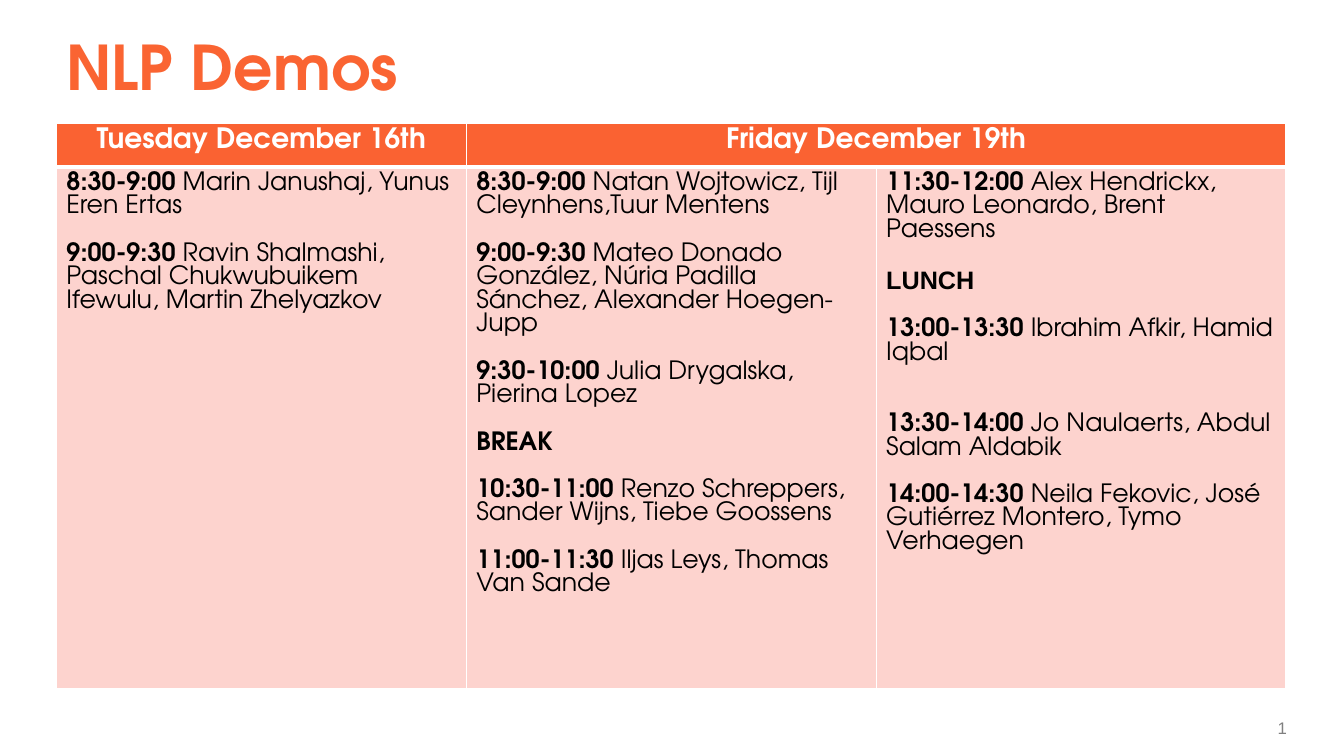
from lxml import etree
from pptx import Presentation
from pptx.dml.color import RGBColor
from pptx.enum.text import MSO_ANCHOR as Anchor, PP_ALIGN as Align
from pptx.oxml import parse_xml
from pptx.oxml.ns import nsdecls, qn
from pptx.util import Cm, Pt

DISPLAY_FONT = "TeX Gyre Adventor"
LINE_GAP = 17
HEADINGS = ["Tuesday December 16th", "Friday December 19th"]
SCHEDULE = [
    [
        ("8:30-9:00", " Marin Janushaj, Yunus Eren Ertas"),
        ("9:00-9:30", " Ravin Shalmashi, Paschal Chukwubuikem Ifewulu, Martin Zhelyazkov"),
    ],
    [
        ("8:30-9:00", " Natan Wojtowicz, Tijl Cleynhens,Tuur Mentens"),
        ("9:00-9:30", " Mateo Donado González, Núria Padilla Sánchez, Alexander Hoegen-Jupp"),
        ("9:30-10:00", " Julia Drygalska, Pierina Lopez"),
        ("BREAK", ""),
        ("10:30-11:00", " Renzo Schreppers, Sander Wijns, Tiebe Goossens"),
        ("11:00-11:30", " Iljas Leys, Thomas Van Sande"),
    ],
    [
        ("11:30-12:00", " Alex Hendrickx, Mauro Leonardo, Brent Paessens"),
        ("LUNCH", ""),
        ("13:00-13:30", " Ibrahim Afkir, Hamid Iqbal"),
        ("13:30-14:00", " Jo Naulaerts, Abdul Salam Aldabik"),
        ("14:00-14:30", " Neila Fekovic, José Gutiérrez Montero, Tymo Verhaegen"),
    ],
]
FONT_OVERRIDES = {"LUNCH": "Arial"}
EXTRA_GAPS = {"13:30-14:00": LINE_GAP}


def color(hex_string):
    """Turn a hex string into a colour."""
    return RGBColor.from_string(hex_string)


def format_font(font, hex_string, **values):
    """Apply a colour and a dict of values to a font."""
    font.color.rgb = color(hex_string)
    for name, value in values.items():
        setattr(font, name, value)


def add_run(paragraph, text, hex_string, **values):
    """Append a formatted run to a paragraph."""
    run = paragraph.add_run()
    run.text = text
    format_font(run.font, hex_string, **values)


def add_text_frame(slide, box):
    """Add a wrapping, vertically centred text box and return its frame."""
    frame = slide.shapes.add_textbox(*map(Cm, box)).text_frame
    frame.word_wrap = True
    frame.vertical_anchor = Anchor.MIDDLE
    return frame


def add_title(slide, box):
    """Place the slide title in the box."""
    paragraph = add_text_frame(slide, box).paragraphs[0]
    paragraph.line_spacing = 0.85
    add_run(paragraph, "NLP Demos", "FA6432", name=DISPLAY_FONT, size=Pt(44), bold=True)


def add_slide_number(slide, box):
    """Place a right-aligned slide number field in the box."""
    frame = add_text_frame(slide, box)
    frame.margin_right = 0
    paragraph = frame.paragraphs[0]
    paragraph.alignment = Align.RIGHT
    add_run(paragraph, "1", "808080", name="Arial", size=Pt(12))
    number = paragraph.runs[0]._r
    number.tag = qn("a:fld")
    number.set("id", "{B6F15528-21DE-4FAA-801E-634DDDAF4B2B}")
    number.set("type", "slidenum")


def style_cell(cell, fill, bottom_width):
    """Give a cell white borders and a solid fill."""
    properties = cell._tc.get_or_add_tcPr()
    for side, width in {"L": 1, "R": 1, "T": 1, "B": bottom_width}.items():
        line = parse_xml(f'<a:ln{side} {nsdecls("a")} w="{Pt(width)}"/>')
        solid = etree.SubElement(line, qn("a:solidFill"))
        etree.SubElement(solid, qn("a:srgbClr"), val="FFFFFF")
        properties.append(line)
    cell.fill.solid()
    cell.fill.fore_color.rgb = color(fill)


def fill_sessions(cell, sessions):
    """Write the sessions of one column, a paragraph for each."""
    frame = cell.text_frame
    for index, (label, names) in enumerate(sessions):
        paragraph = frame.add_paragraph() if index else frame.paragraphs[0]
        if index:
            paragraph.space_before = Pt(LINE_GAP + EXTRA_GAPS.get(label, 0))
        label_font = FONT_OVERRIDES.get(label, DISPLAY_FONT)
        add_run(paragraph, label, "000000", name=label_font, size=Pt(18), bold=True)
        if names:
            add_run(paragraph, names, "000000", name=DISPLAY_FONT, size=Pt(18), bold=False)


def add_schedule(slide, box):
    """Place the schedule table in the box."""
    left, top, width, height = box
    header_height = 0.92
    table = slide.shapes.add_table(2, len(SCHEDULE), *map(Cm, box)).table
    table.horz_banding = False
    for column in table.columns:
        column.width = Cm(width / len(SCHEDULE))
    for row, row_height in zip(table.rows, (header_height, height - header_height)):
        row.height = Cm(row_height)
    for index, sessions in enumerate(SCHEDULE):
        style_cell(table.cell(0, index), "FA6232", 3)
        style_cell(table.cell(1, index), "FDD3CE", 1)
        fill_sessions(table.cell(1, index), sessions)
    table.cell(0, 1).merge(table.cell(0, 2))
    for index, heading in enumerate(HEADINGS):
        paragraph = table.cell(0, index).text_frame.paragraphs[0]
        paragraph.alignment = Align.CENTER
        add_run(paragraph, heading, "FFFFFF", name=DISPLAY_FONT, size=Pt(20), bold=True)


def main():
    """Build the slide and save it."""
    presentation = Presentation()
    presentation.slide_width = Cm(33.87)
    presentation.slide_height = Cm(19.05)
    slide = presentation.slides.add_slide(presentation.slide_layouts[6])
    add_title(slide, (1.42, 0.3, 30.99, 3))
    add_slide_number(slide, (30.73, 17.96, 1.7, 0.76))
    add_schedule(slide, (1.42, 3.1, 30.99, 13.24))
    presentation.save("out.pptx")


if __name__ == "__main__":
    main()
